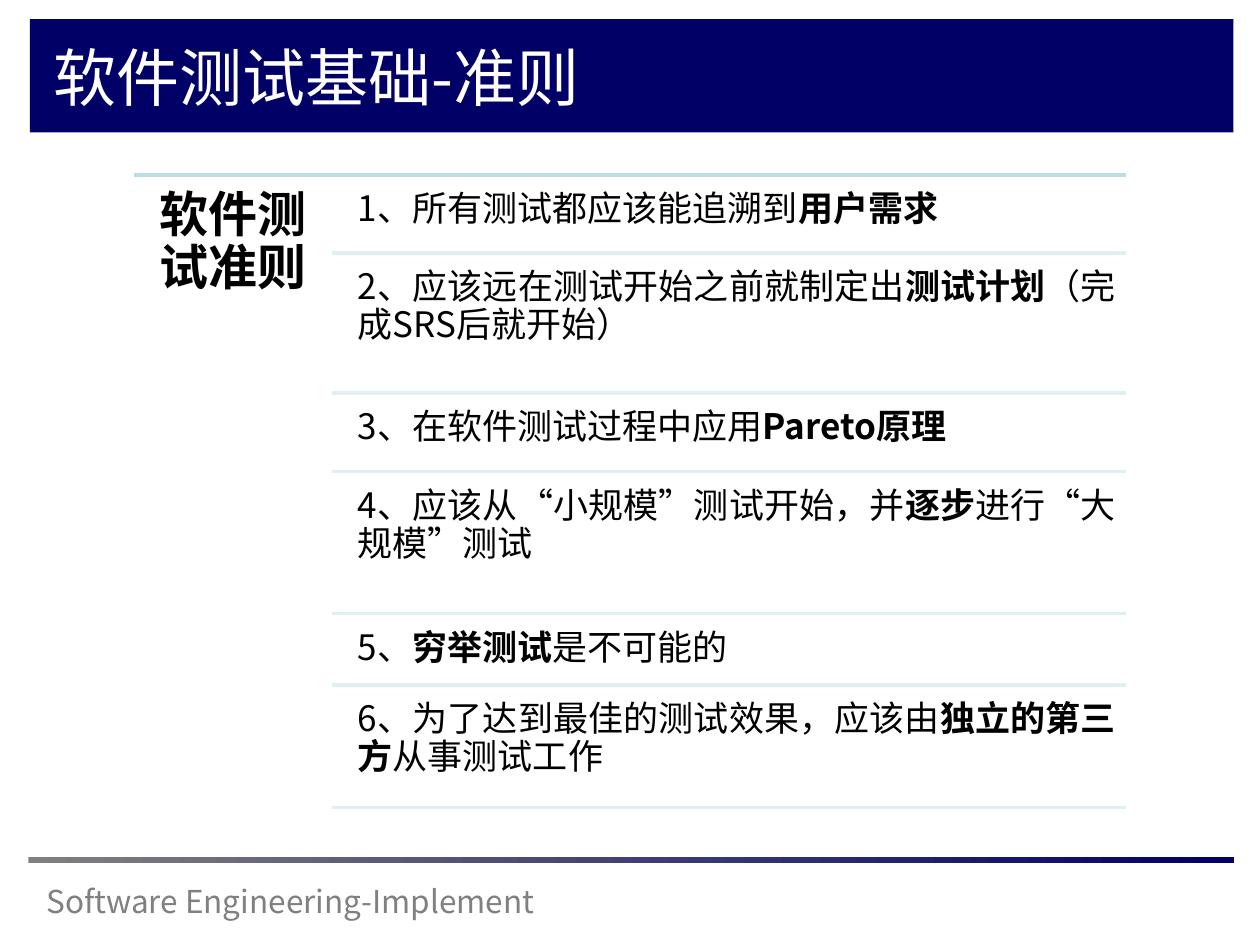
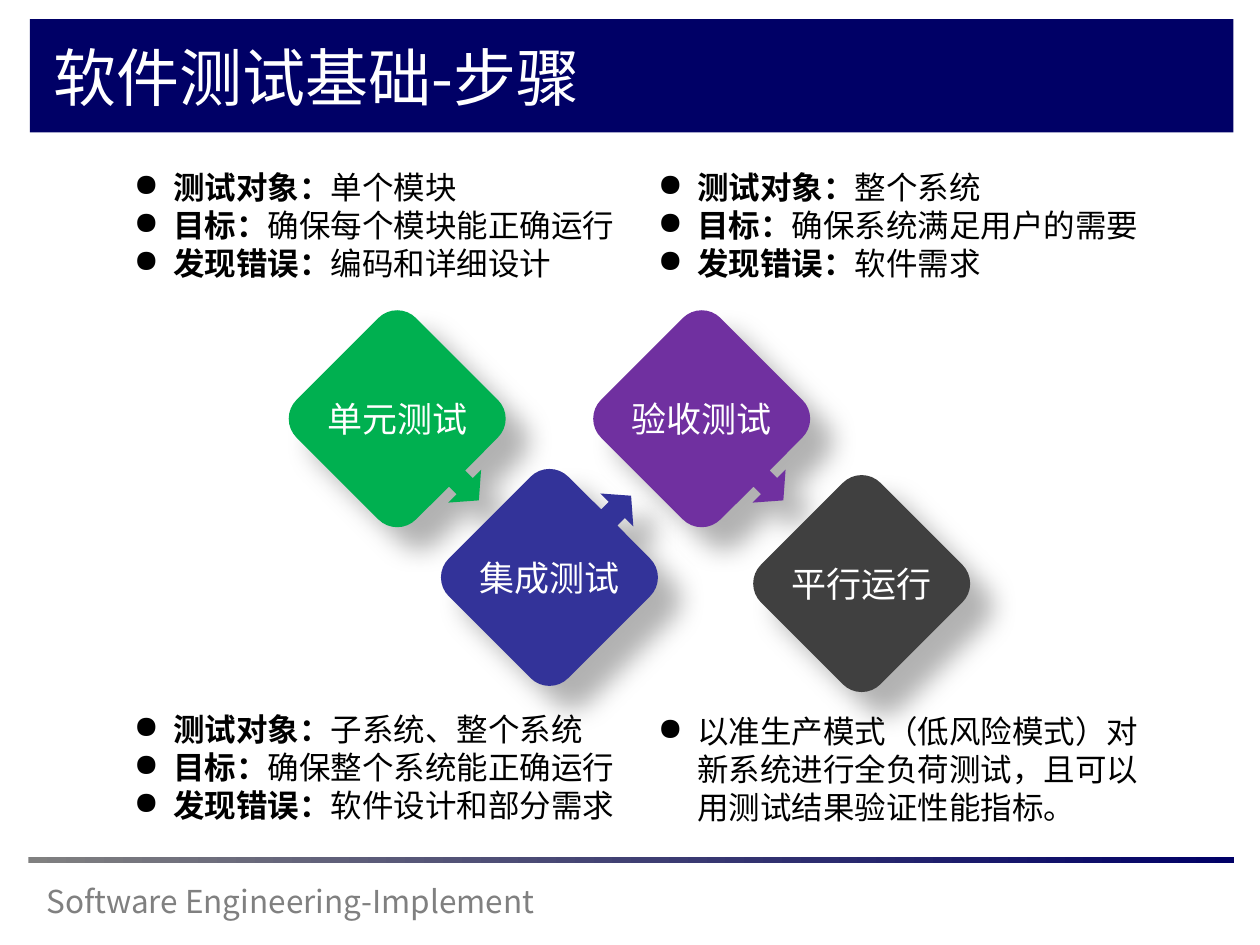
"""Build two slides on software testing: its principles and its steps."""
import math

import lxml.etree
import pptx
import pptx.dml.color
import pptx.enum.shapes
import pptx.enum.text
import pptx.oxml.ns
import pptx.util

Pt = pptx.util.Pt
ALIGN = pptx.enum.text.PP_ALIGN
ANCHOR = pptx.enum.text.MSO_ANCHOR
RECTANGLE = pptx.enum.shapes.MSO_SHAPE.RECTANGLE

FONT = "Noto Sans CJK SC"
BULLET_FONT = "OpenSymbol"
COLOURS = {
    "navy": "000066", "grey": "808080", "white": "FFFFFF", "black": "000000",
    "teal": "BBE0E3", "pale": "E0F0F2", "green": "00B050", "blue": "333399",
    "purple": "7030A0", "charcoal": "404040",
}
FOOTER = "Software Engineering-Implement"

PRINCIPLES_TITLE = "软件测试基础-准则"
PRINCIPLES_LABEL = "*软件测试准则*"
PRINCIPLES = [
    ("1、所有测试都应该能追溯到*用户需求*", 41),
    ("2、应该远在测试开始之前就制定出*测试计划*（完成SRS后就开始）", 76.5),
    ("3、在软件测试过程中应用*Pareto原理*", 41.5),
    ("4、应该从“小规模”测试开始，并*逐步*进行“大规模”测试", 77.5),
    ("5、*穷举测试*是不可能的", 37.5),
    ("6、为了达到最佳的测试效果，应该由*独立的第三方*从事测试工作", 66.5),
]

STEPS_TITLE = "软件测试基础-步骤"
STEPS = [
    ("验收测试", "purple", (401, 239.3), 45),
    ("单元测试", "green", (227, 239.3), 45),
    ("平行运行", "charcoal", (492.4, 333.5), None),
    ("集成测试", "blue", (314, 330), -45),
]
NOTES = [
    ((76.5, 85.7), ["*测试对象：*单个模块", "*目标：*确保每个模块能正确运行", "*发现错误：*编码和详细设计"]),
    ((76.5, 395.3), ["*测试对象：*子系统、整个系统", "*目标：*确保整个系统能正确运行", "*发现错误：*软件设计和部分需求"]),
    ((376, 85.7), ["*测试对象：*整个系统", "*目标：*确保系统满足用户的需要", "*发现错误：*软件需求"]),
    ((376, 396.4), ["以准生产模式（低风险模式）对新系统进行全负荷测试，且可以用测试结果验证性能指标。"]),
]
NOTE_SIZE = (283.7, 85.7)

LIST_LEFT, LIST_RIGHT, LIST_TOP = 76.6, 643.7, 100
RULE_LEFT, ITEM_LEFT, ITEM_GAP = 190, 198.4, 3.5

HALF_WIDTH, CORNER_RADIUS = 62, 15.2
ARROW = [(48.4, -6.5), (54.5, -6.5), (54.5, -13.3), (66, 0),
         (54.5, 13.3), (54.5, 6.5), (48.4, 6.5)]


def colour(name):
    return pptx.dml.color.RGBColor.from_string(COLOURS[name])


def add_element(parent, tag, **attributes):
    return lxml.etree.SubElement(parent, pptx.oxml.ns.qn(tag), attributes)


def write(shape, lines, size, ink="black", align=ALIGN.LEFT, anchor=ANCHOR.TOP,
          inset=None, spacing=None, bullet_indent=None):
    """Fill a shape with lines in which asterisks enclose bold text."""
    frame = shape.text_frame
    frame.word_wrap = True
    frame.auto_size = pptx.enum.text.MSO_AUTO_SIZE.NONE
    frame.vertical_anchor = anchor
    if inset is not None:
        frame.margin_left = frame.margin_right = Pt(inset)
        frame.margin_top = frame.margin_bottom = Pt(inset)
    for index, line in enumerate(lines):
        para = frame.add_paragraph() if index else frame.paragraphs[0]
        para.alignment = align
        if spacing:
            para.line_spacing = spacing
        if bullet_indent:
            properties = para._p.get_or_add_pPr()
            properties.set("marL", str(Pt(bullet_indent)))
            properties.set("indent", str(-Pt(bullet_indent)))
            add_element(properties, "a:buFont", typeface=BULLET_FONT)
            add_element(properties, "a:buChar", char="●")
        para.font.size = Pt(size)
        para.font.name = FONT
        para.font.color.rgb = colour(ink)
        add_element(para.font._rPr, "a:ea", typeface=FONT)
        for part, text in enumerate(line.split("*")):
            if text:
                span = para.add_run()
                span.text = text
                if part % 2:
                    span.font.bold = True


def add_text(page, place, lines, size, **style):
    box = page.shapes.add_textbox(*map(Pt, place))
    write(box, lines, size, **style)


def add_bar(page, place):
    bar = page.shapes.add_shape(RECTANGLE, *map(Pt, place))
    bar.shadow.inherit = False
    bar.line.fill.background()
    return bar


def add_rule(page, left, top, ink):
    rule = page.shapes.add_connector(
        pptx.enum.shapes.MSO_CONNECTOR.STRAIGHT,
        Pt(left), Pt(top), Pt(LIST_RIGHT), Pt(top))
    rule.line.color.rgb = colour(ink)
    rule.line.width = Pt(2)
    add_element(rule._element.spPr, "a:effectLst")


def add_page(deck, heading):
    page = deck.slides.add_slide(deck.slide_layouts[5])
    title = page.shapes.title
    title.left, title.top, title.width, title.height = map(Pt, (23.4, 18.5, 634.3, 53.3))
    write(title, [heading], 36, ink="white")

    band = add_bar(page, (17.1, 11, 687.8, 64.7))
    band.fill.solid()
    band.fill.fore_color.rgb = colour("navy")
    title._element.addprevious(band._element)

    add_text(page, (19.4, 500.4, 372.2, 28.8), [FOOTER], 18, ink="grey")
    strip = add_bar(page, (16.3, 489.6, 689, 3.6))
    strip.fill.gradient()
    strip.fill.gradient_angle = 0
    for stop, position, name in zip(strip.fill.gradient_stops, (0, 1), ("grey", "navy")):
        stop.position = position
        stop.color.rgb = colour(name)
    return page


def turn(angle, along, across):
    cosine, sine = math.cos(math.radians(angle)), math.sin(math.radians(angle))
    return along * cosine - across * sine, along * sine + across * cosine


def diamond_outline(arrow_angle):
    """Return a rounded diamond's points, and where its curves' control points start."""
    points, curve_starts = [], []
    handle = CORNER_RADIUS * 4 / 3 * math.tan(math.radians(45 / 4))
    for corner in (-90, 0, 90, 180):
        centre_x, centre_y = turn(corner, HALF_WIDTH - CORNER_RADIUS, 0)
        arc = [turn(corner - 45, CORNER_RADIUS, 0)]
        for start in (corner - 45, corner):
            curve_starts.append(len(points) + len(arc))
            arc += [turn(start, CORNER_RADIUS, handle),
                    turn(start + 45, CORNER_RADIUS, -handle),
                    turn(start + 45, CORNER_RADIUS, 0)]
        points += [(centre_x + x, centre_y + y) for x, y in arc]
        if arrow_angle == corner + 45:
            points += [turn(arrow_angle, *point) for point in ARROW]
    return points, curve_starts


def bend(shape, curve_starts):
    """Join each three segments from a curve start into one cubic curve."""
    segments = list(shape._element.iter(pptx.oxml.ns.qn("a:lnTo")))
    for start in curve_starts:
        trio = segments[start - 1:start + 2]
        curve = lxml.etree.Element(pptx.oxml.ns.qn("a:cubicBezTo"))
        trio[0].addprevious(curve)
        for segment in trio:
            curve.append(segment[0])
            segment.getparent().remove(segment)


def add_step(page, name, ink, centre, arrow_angle):
    outline, curve_starts = diamond_outline(arrow_angle)
    points = [(Pt(centre[0] + x), Pt(centre[1] + y)) for x, y in outline]
    builder = page.shapes.build_freeform(*points[0])
    builder.add_line_segments(points[1:], close=True)
    diamond = builder.convert_to_shape()
    bend(diamond, curve_starts)
    diamond.fill.solid()
    diamond.fill.fore_color.rgb = colour(ink)
    diamond.line.fill.background()
    diamond.shadow.inherit = False
    effects = diamond._element.spPr.find(pptx.oxml.ns.qn("a:effectLst"))
    shadow = add_element(effects, "a:outerShdw", blurRad=str(Pt(15)), dist=str(Pt(18)),
                         dir="2700000", algn="tl", rotWithShape="0")
    tint = add_element(shadow, "a:srgbClr", val=COLOURS["black"])
    add_element(tint, "a:alpha", val="30000")
    write(diamond, [name], 20, ink="white", align=ALIGN.CENTER, anchor=ANCHOR.MIDDLE)


def add_principles(deck):
    page = add_page(deck, PRINCIPLES_TITLE)
    add_rule(page, LIST_LEFT, LIST_TOP, "teal")
    add_text(page, (LIST_LEFT, LIST_TOP, 113, 364.3), [PRINCIPLES_LABEL], 28,
             align=ALIGN.CENTER, inset=8.5, spacing=0.9)
    top = LIST_TOP
    for text, height in PRINCIPLES:
        top += ITEM_GAP
        add_text(page, (ITEM_LEFT, top, LIST_RIGHT - ITEM_LEFT, height), [text], 20,
                 align=ALIGN.JUSTIFY, inset=6, spacing=0.9)
        top += height
        add_rule(page, RULE_LEFT, top, "pale")


def add_steps(deck):
    page = add_page(deck, STEPS_TITLE)
    for step in STEPS:
        add_step(page, *step)
    for corner, lines in NOTES:
        add_text(page, corner + NOTE_SIZE, lines, 18, anchor=ANCHOR.MIDDLE,
                 inset=0, bullet_indent=22.5)


def main():
    deck = pptx.Presentation()
    deck.slide_width, deck.slide_height = Pt(720), Pt(540)
    add_principles(deck)
    add_steps(deck)
    deck.save("out.pptx")


if __name__ == "__main__":
    main()
